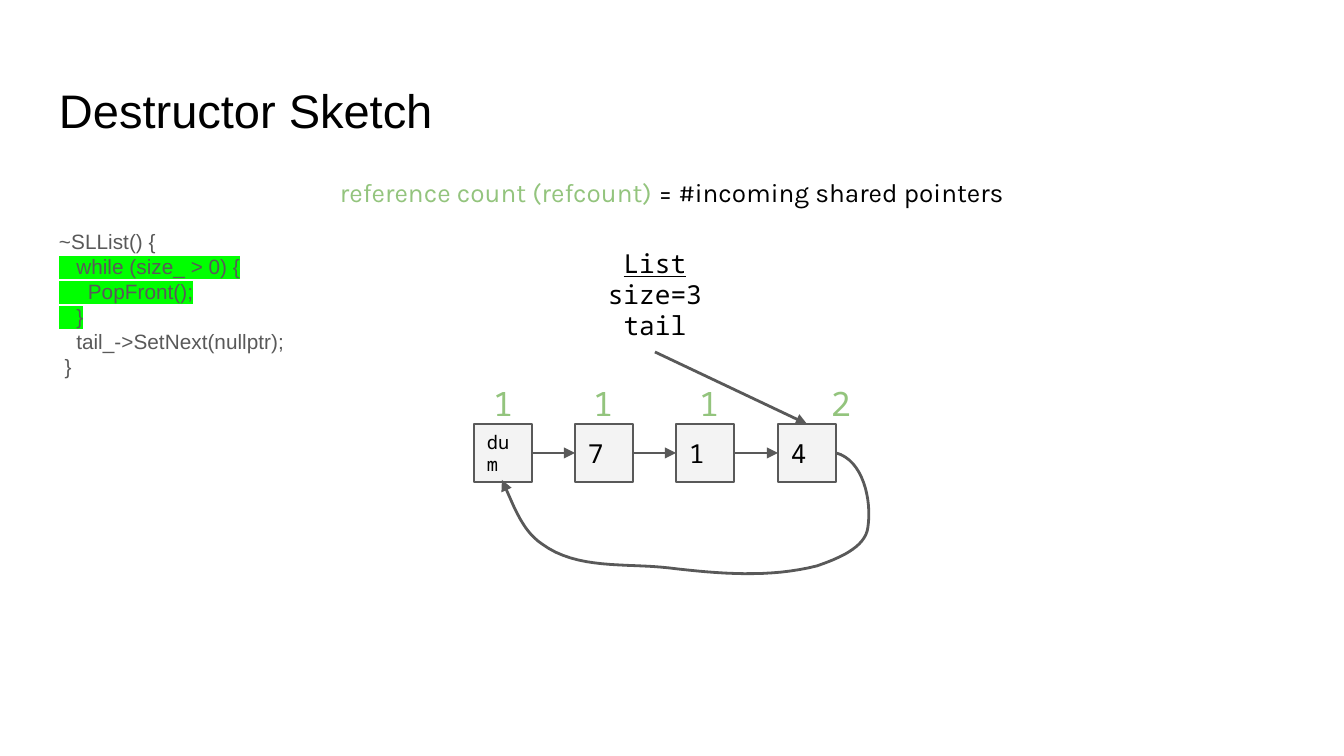
from pptx import Presentation
from pptx.dml.color import RGBColor
from pptx.enum.shapes import MSO_CONNECTOR as Connector, MSO_SHAPE as Preset
from pptx.enum.text import MSO_ANCHOR as Anchor, PP_ALIGN as Align
from pptx.oxml.ns import qn
from pptx.util import Pt
from lxml.etree import Element, SubElement

SCALE = 914400 / 134.4
THEME = {
    "ink": "000000", "grey": "595959", "node": "F3F3F3",
    "green": "93C47D", "highlight": "00FF00",
    "sans": "Arial", "mono": "Noto Sans Mono", "display": "Karla",
    "title": 25.2, "body": 14, "count": 18, "code": 11.1, "small": 10,
    "thin": 0.75, "thick": 1.5,
}


def px(value):
    return round(value * SCALE)


def write(shape, lines, font=THEME["mono"], size=THEME["body"],
          align=Align.LEFT, anchor=Anchor.TOP):
    frame = shape.text_frame
    frame.word_wrap = True
    frame.vertical_anchor = anchor
    frame.margin_left = frame.margin_right = px(13)
    frame.margin_top = frame.margin_bottom = px(13)
    for index, line in enumerate(lines):
        paragraph = frame.paragraphs[0] if index == 0 else frame.add_paragraph()
        paragraph.alignment = align
        for text, color, mark in line:
            run = paragraph.add_run()
            run.text = text
            run.font.name = font
            run.font.size = Pt(size)
            run.font.color.rgb = RGBColor.from_string(THEME[color])
            run.font.underline = True if mark == "underline" else None
            if mark == "highlight":
                highlight = Element(qn("a:highlight"))
                SubElement(highlight, qn("a:srgbClr"), val=THEME["highlight"])
                run.font.fill._xPr.find(qn("a:solidFill")).addnext(highlight)


def style_arrow(shape, width):
    shape.line.color.rgb = RGBColor.from_string(THEME["grey"])
    shape.line.width = Pt(width)
    SubElement(shape.line._get_or_add_ln(), qn("a:tailEnd"), type="triangle")
    if shape._element.spPr.find(qn("a:effectLst")) is None:
        SubElement(shape._element.spPr, qn("a:effectLst"))


presentation = Presentation()
presentation.slide_width = px(1344)
presentation.slide_height = px(756)
slide = presentation.slides.add_slide(presentation.slide_layouts[6])
shapes = slide.shapes

title = shapes.add_textbox(px(46), px(66), px(1252), px(85))
write(title, [[("Destructor Sketch", "ink", None)]], font=THEME["sans"],
      size=THEME["title"], anchor=Anchor.BOTTOM)

definition = shapes.add_textbox(px(211), px(163), px(922), px(59))
write(definition, [[("reference count (refcount)", "green", None),
                    (" = #incoming shared pointers", "ink", None)]],
      font=THEME["display"], align=Align.CENTER)

code = shapes.add_textbox(px(46), px(216), px(413), px(195))
code_lines = [
    ("~SLList() {", None),
    ("   while (size_ > 0) {", "highlight"),
    ("     PopFront();", "highlight"),
    ("   }", "highlight"),
    ("   tail_->SetNext(nullptr);", None),
    (" }", None),
]
write(code, [[(text, "grey", mark)] for text, mark in code_lines],
      font=THEME["sans"], size=THEME["code"])

list_box = shapes.add_textbox(px(587), px(234), px(136), px(118))
write(list_box, [[("List", "ink", "underline")], [("size=3", "ink", None)],
                 [("tail", "ink", None)]], align=Align.CENTER)

nodes = []
for index, (value, size, count, count_left) in enumerate([
    ("dum", THEME["small"], "1", 466),
    ("7", THEME["body"], "1", 566),
    ("1", THEME["body"], "1", 672),
    ("4", THEME["body"], "2", 804),
]):
    left = 474 + 304 * index // 3
    node = shapes.add_shape(Preset.RECTANGLE, px(left), px(424), px(58), px(58))
    node.shadow.inherit = False
    node.fill.solid()
    node.fill.fore_color.rgb = RGBColor.from_string(THEME["node"])
    node.line.color.rgb = RGBColor.from_string(THEME["grey"])
    node.line.width = Pt(THEME["thin"])
    write(node, [[(value, "ink", None)]], size=size, anchor=Anchor.MIDDLE)
    nodes.append(node)

    label = shapes.add_textbox(px(count_left), px(370), px(74), px(67))
    write(label, [[(count, "green", None)]], size=THEME["count"],
          align=Align.CENTER)

links = [(first, 3, second, 1, THEME["thin"])
         for first, second in zip(nodes, nodes[1:])]
links.append((list_box, 2, nodes[-1], 0, THEME["thick"]))
for source, source_side, target, target_side, width in links:
    arrow = shapes.add_connector(Connector.STRAIGHT, 0, 0, 0, 0)
    arrow.begin_connect(source, source_side)
    arrow.end_connect(target, target_side)
    style_arrow(arrow, width)

start = (836, 453)
curves = [
    ((863, 460), (872, 500), (868, 527)),
    ((866, 548), (837, 559), (817, 566)),
    ((770, 578), (719, 574), (669, 568)),
    ((626, 563), (577, 570), (542, 544)),
    ((521, 530), (513, 503), (502, 480)),
]
steps = 16
points = []
corner = start
for control_a, control_b, end in curves:
    for step in range(1, steps + 1):
        t = step / steps
        points.append(tuple(
            px((1 - t) ** 3 * a + 3 * (1 - t) ** 2 * t * b
               + 3 * (1 - t) * t ** 2 * c + t ** 3 * d)
            for a, b, c, d in zip(corner, control_a, control_b, end)))
    corner = end
builder = shapes.build_freeform(px(start[0]), px(start[1]))
builder.add_line_segments(points, close=False)
loop = builder.convert_to_shape()
loop.shadow.inherit = False
loop.fill.background()
style_arrow(loop, THEME["thick"])

presentation.save("out.pptx")
